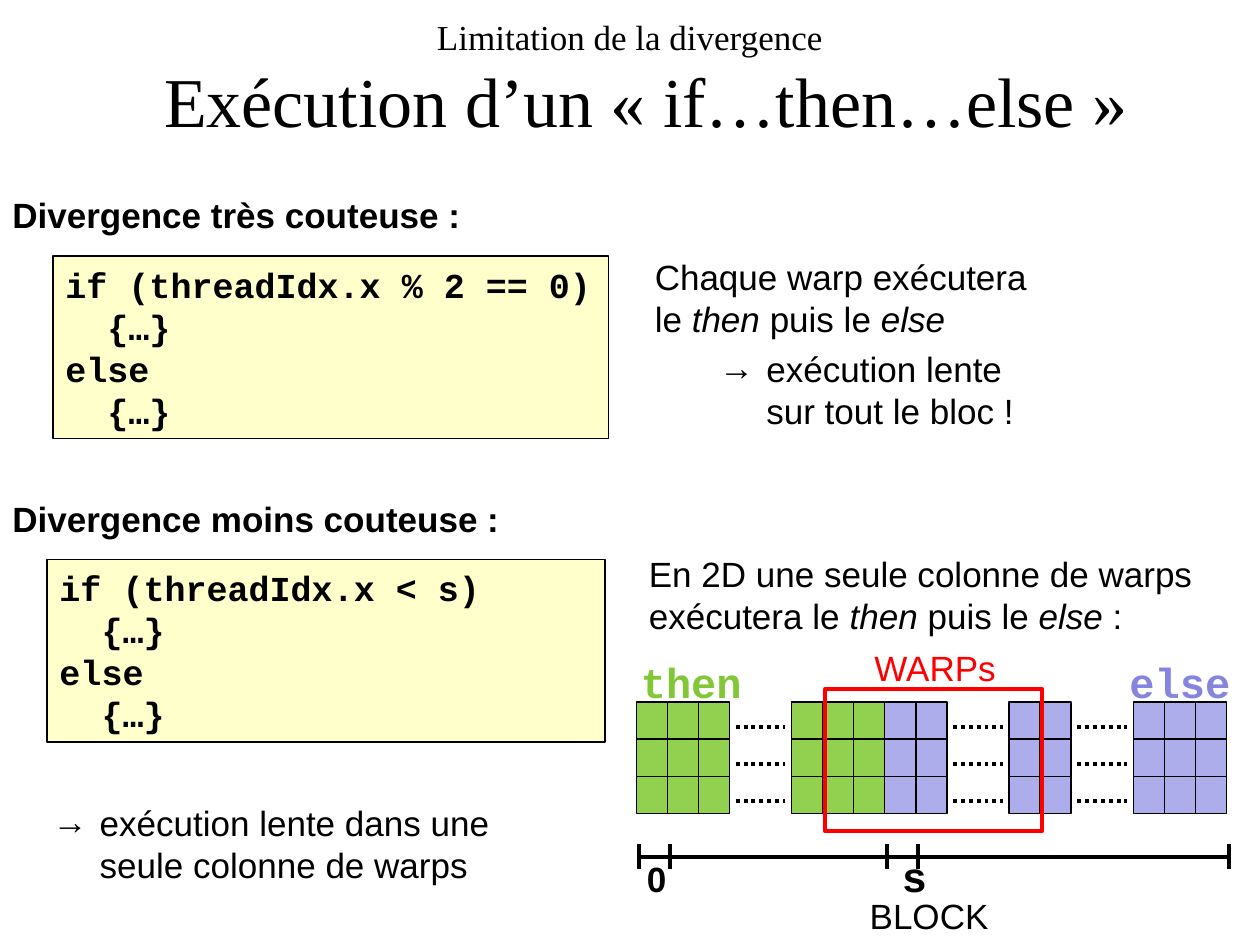
from dataclasses import dataclass
from pptx import Presentation
from pptx.dml.color import RGBColor
from pptx.enum.dml import MSO_LINE
from pptx.enum.shapes import MSO_CONNECTOR, MSO_SHAPE
from pptx.enum.text import MSO_ANCHOR, PP_ALIGN
from pptx.oxml.ns import qn
from pptx.util import Cm, Pt
from lxml.etree import SubElement


@dataclass(frozen=True)
class Theme:
    black: RGBColor = RGBColor.from_string("000000")
    red: RGBColor = RGBColor.from_string("FF0000")
    cream: RGBColor = RGBColor.from_string("FFFFCC")
    then_cell: RGBColor = RGBColor.from_string("92D050")
    else_cell: RGBColor = RGBColor.from_string("ADADEB")
    then_label: RGBColor = RGBColor.from_string("82C836")
    else_label: RGBColor = RGBColor.from_string("8585E0")
    sans: str = "Arial"
    mono: str = "Courier New"
    serif: str = "Times New Roman"
    body: Pt = Pt(20)
    label: Pt = Pt(24)
    title: Pt = Pt(40)
    thin: Pt = Pt(0.75)
    thick: Pt = Pt(2.25)


theme = Theme()
deck = Presentation()
deck.slide_width, deck.slide_height = Cm(25.4), Cm(19.05)
page = deck.slides.add_slide(deck.slide_layouts[6])


def write(box, lines, font=theme.sans, size=theme.body, color=theme.black,
          bold=False, align=PP_ALIGN.LEFT, wrap=True):
    frame = box.text_frame
    frame.word_wrap = wrap
    for number, line in enumerate(lines):
        para = frame.paragraphs[0] if number == 0 else frame.add_paragraph()
        para.alignment = align
        if line.startswith("→"):
            properties = para._p.get_or_add_pPr()
            properties.set("marL", str(Cm(0.95)))
            properties.set("indent", str(Cm(-0.95)))
            SubElement(properties, qn("a:buFont"), typeface=theme.sans)
            SubElement(properties, qn("a:buChar"), char="→")
            line = line[1:]
        para.font.name, para.font.size = font, size
        para.font.bold = bold
        para.font.color.rgb = color
        for position, part in enumerate(line.split("*")):
            if part:
                span = para.add_run()
                span.text = part
                if position % 2:
                    span.font.italic = True
    return frame


def draw_line(x1, y1, x2, y2, dash=None):
    line = page.shapes.add_connector(MSO_CONNECTOR.STRAIGHT, Cm(x1), Cm(y1), Cm(x2), Cm(y2))
    line.line.color.rgb, line.line.width = theme.black, theme.thick
    if dash:
        line.line.dash_style = dash
    SubElement(line._element.spPr, qn("a:effectLst"))


title = page.shapes.add_textbox(0, 0, deck.slide_width, Cm(3.18))
heading = write(title, ["Limitation de la divergence", "Exécution d’un «\u00a0if…then…else\u00a0»"],
                font=theme.serif, align=PP_ALIGN.CENTER)
heading.vertical_anchor = MSO_ANCHOR.MIDDLE
heading.paragraphs[1].font.size = theme.title
heading.paragraphs[1]._p.get_or_add_pPr().set("marL", str(Cm(0.64)))

for top, words in [(3.78, "Divergence très couteuse :"), (9.91, "Divergence moins couteuse :")]:
    write(page.shapes.add_textbox(0, Cm(top), Cm(10.4), Cm(1.12)), [words], bold=True, wrap=False)

for left, top, width, condition in [(1.07, 5.16, 11.2, "if (threadIdx.x % 2 == 0)"),
                                    (0.95, 11.28, 11.25, "if (threadIdx.x < s)")]:
    code = page.shapes.add_shape(MSO_SHAPE.RECTANGLE, Cm(left), Cm(top), Cm(width), Cm(3.68))
    code.shadow.inherit = False
    code.fill.solid()
    code.fill.fore_color.rgb = theme.cream
    code.line.color.rgb, code.line.width = theme.black, theme.thin
    write(code, [condition, "  {…}", "else", "  {…}"], font=theme.mono, bold=True)

slow = write(page.shapes.add_textbox(Cm(12.95), Cm(5.03), Cm(8.38), Cm(3.84)),
             ["Chaque warp exécutera le *then* puis le *else*", "→exécution lente", "sur tout le bloc !"])
slow.paragraphs[1].space_before = Pt(4.6)
for para in slow.paragraphs[1:]:
    para._p.get_or_add_pPr().set("marL", str(Cm(2.25)))

write(page.shapes.add_textbox(Cm(12.83), Cm(11.02), Cm(11.76), Cm(2.13)),
      ["En 2D une seule colonne de warps exécutera le *then* puis le *else* :"])
write(page.shapes.add_textbox(Cm(0.81), Cm(16.03), Cm(10.26), Cm(1.96)),
      ["→exécution lente dans une seule colonne de warps"])

grid_left, grid_top = 12.83, 14.15
pitch, row_height = 0.626, 0.75
then_columns = [0, 1, 2, 5, 6, 7]
else_columns = [8, 9, 12, 13, 16, 17, 18]
for row in range(3):
    top = grid_top + row * row_height
    for column in then_columns + else_columns:
        cell = page.shapes.add_shape(MSO_SHAPE.RECTANGLE, Cm(grid_left + column * pitch), Cm(top),
                                     Cm(pitch), Cm(row_height))
        cell.shadow.inherit = False
        cell.fill.solid()
        cell.fill.fore_color.rgb = theme.then_cell if column in then_columns else theme.else_cell
        cell.line.color.rgb, cell.line.width = theme.black, theme.thin
    for gap in [3, 10, 14]:
        start = grid_left + (gap + 0.2) * pitch
        draw_line(start, top + 0.5, start + 1.6 * pitch, top + 0.5, MSO_LINE.ROUND_DOT)

axis_left, axis_y = 12.88, 17.27
draw_line(axis_left, axis_y, axis_left + 19 * pitch, axis_y)
for mark in [0, 1, 8, 9, 19]:
    x = axis_left + mark * pitch
    draw_line(x, axis_y - 0.25, x, axis_y + 0.25)

for left, top, width, words, font, size, color, bold in [
    (12.78, 17.17, 0.91, "0", theme.sans, theme.body, theme.black, True),
    (17.27, 17.91, 2.92, "BLOCK", theme.sans, theme.body, theme.black, False),
    (17.35, 12.9, 3, "WARPs", theme.sans, theme.body, theme.red, False),
    (17.93, 17.02, 1, "s", theme.mono, theme.label, theme.black, True),
    (12.65, 13.11, 2.57, "then", theme.mono, theme.label, theme.then_label, True),
    (22.5, 13.11, 2.57, "else", theme.mono, theme.label, theme.else_label, True),
]:
    write(page.shapes.add_textbox(Cm(left), Cm(top), Cm(width), Cm(1.2)), [words],
          font, size, color, bold, PP_ALIGN.CENTER, False)

warp = page.shapes.add_shape(MSO_SHAPE.RECTANGLE, Cm(16.64), Cm(13.89), Cm(4.37), Cm(2.87))
warp.shadow.inherit = False
warp.fill.background()
warp.line.color.rgb, warp.line.width = theme.red, theme.thick

deck.save("out.pptx")
